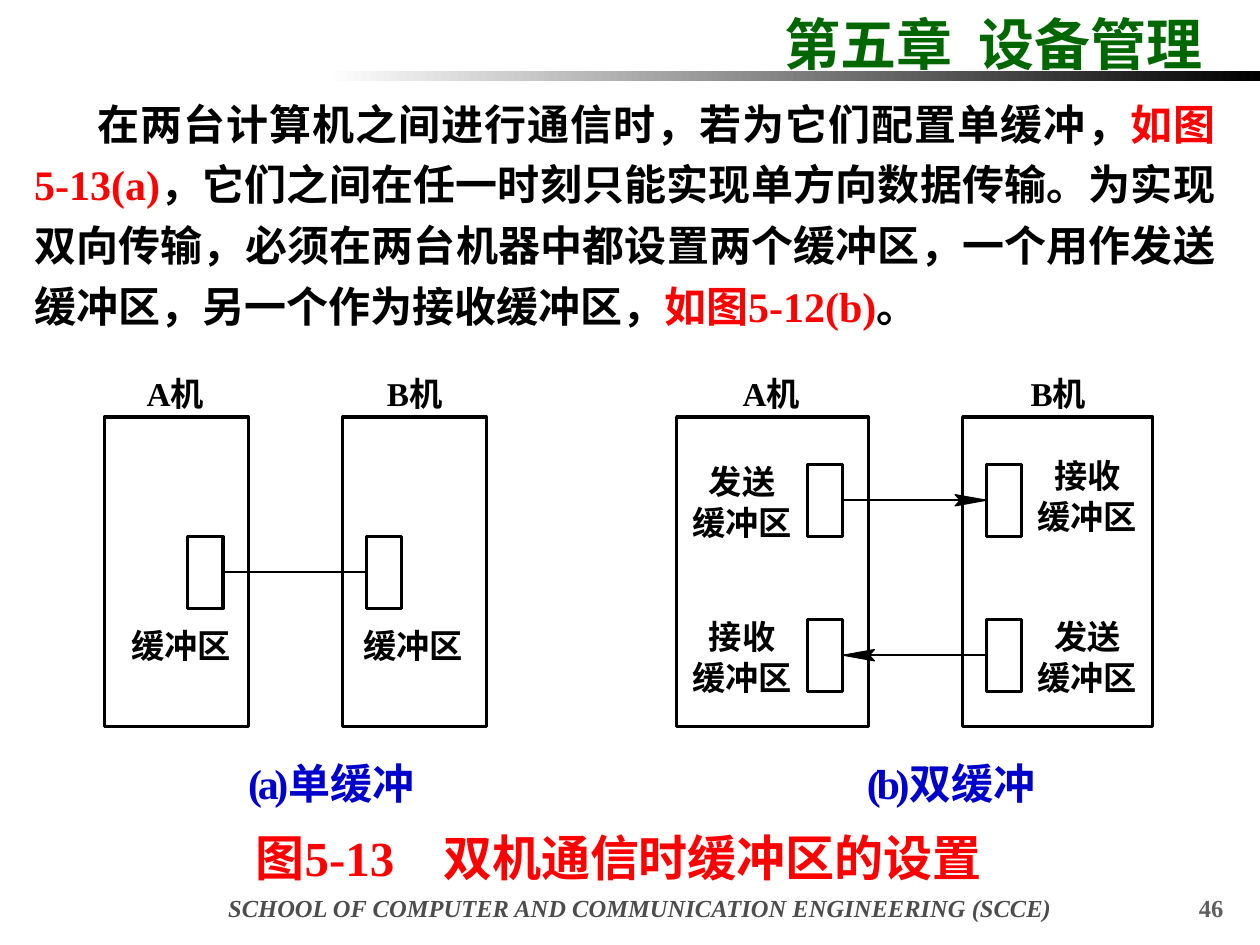
from dataclasses import dataclass

from lxml import etree
from pptx import Presentation
from pptx.dml.color import RGBColor
from pptx.enum.shapes import MSO_CONNECTOR, MSO_SHAPE
from pptx.enum.text import PP_ALIGN
from pptx.oxml.ns import qn
from pptx.util import Inches, Pt

RECT, LINE = MSO_SHAPE.RECTANGLE, MSO_CONNECTOR.STRAIGHT
LEFT, MID, RIGHT, JUST = (PP_ALIGN.LEFT, PP_ALIGN.CENTER,
                          PP_ALIGN.RIGHT, PP_ALIGN.JUSTIFY)
BLACK = RGBColor(0x00, 0x00, 0x00)
WHITE = RGBColor(0xFF, 0xFF, 0xFF)
GREEN = RGBColor(0x00, 0x66, 0x00)
RED = RGBColor(0xFF, 0x00, 0x00)
BLUE = RGBColor(0x00, 0x00, 0xCC)
DARK = RGBColor(0x4D, 0x4D, 0x4D)
GRAY = RGBColor(0x5F, 0x5F, 0x5F)
LATIN, HAN = "Times New Roman", "Noto Sans CJK SC"
PITCH = 1.235  # line height as a multiple of the text size

# Shared heights of the two diagrams
FRAME_Y, FRAME_H = 3.31, 2.46
NAME_Y, NOTE_Y = 2.95, 6.0
BUF_W, BUF_H = 0.28, 0.57


@dataclass
class Frame:
    name: str
    x: float
    width: float
    mid: float  # centre of the machine name


@dataclass
class Buffer:
    x: float
    y: float
    label: str
    mid: float  # centre of the label
    top: float


@dataclass
class Link:
    start: float
    end: float
    y: float
    arrow: bool = True


FRAMES = [
    Frame("A", 0.83, 1.14, 1.39),
    Frame("B", 2.72, 1.14, 3.29),
    Frame("A", 5.37, 1.52, 6.12),
    Frame("B", 7.64, 1.51, 8.4),
]
BUFFERS = [
    Buffer(1.49, 4.26, "缓冲区", 1.44, 4.95),
    Buffer(2.91, 4.26, "缓冲区", 3.28, 4.95),
    Buffer(6.41, 3.69, "发送\n缓冲区", 5.89, 3.65),
    Buffer(7.83, 3.69, "接收\n缓冲区", 8.63, 3.6),
    Buffer(6.41, 4.92, "接收\n缓冲区", 5.89, 4.88),
    Buffer(7.83, 4.92, "发送\n缓冲区", 8.63, 4.88),
]
LINKS = [
    Link(1.77, 2.91, 4.54, arrow=False),
    Link(6.69, 7.83, 3.97),
    Link(7.83, 6.69, 5.2),
]
NOTES = [("(a)", "单缓冲", 2.63), ("(b)", "双缓冲", 7.55)]
BODY = [
    ("在两台计算机之间进行通信时，若为它们配置单缓冲，", BLACK),
    ("如图5-13(a)", RED),
    ("，它们之间在任一时刻只能实现单方向数据传输。为实现双向传输，"
     "必须在两台机器中都设置两个缓冲区，一个用作发送缓冲区，"
     "另一个作为接收缓冲区，", BLACK),
    ("如图5-12(b)", RED),
    ("。", BLACK),
]


def put_text(slide, text: str | list, x: float, y: float, width: float, *,
             size: float, color: RGBColor = BLACK, align=LEFT,
             italic: bool = False, wrap: bool = False, indent: float = 0,
             pitch: float = PITCH, latin: str = LATIN,
             tight: float = 0) -> None:
    """Place bold text; a list holds (text, colour) runs of one paragraph.

    tight draws the letters of the first run closer, in points.
    """
    lines = ([[(t, color)] for t in text.split("\n")]
             if isinstance(text, str) else [text])
    step = round(size * pitch, 1)
    box = slide.shapes.add_textbox(Inches(x), Inches(y), Inches(width),
                                   Pt(step * len(lines)))
    frame = box.text_frame
    frame.word_wrap = wrap
    frame.margin_left = frame.margin_right = 0
    frame.margin_top = frame.margin_bottom = 0
    for i, runs in enumerate(lines):
        para = frame.add_paragraph() if i else frame.paragraphs[0]
        para.alignment, para.line_spacing = align, Pt(step)
        if indent:
            para._p.get_or_add_pPr().set("indent", str(Inches(indent)))
        for j, (part, tint) in enumerate(runs):
            run = para.add_run()
            run.text = part
            font = run.font
            font.size, font.bold, font.italic = Pt(size), True, italic
            font.color.rgb, font.name = tint, latin
            props = run._r.get_or_add_rPr()
            etree.SubElement(props, qn("a:ea")).set("typeface", HAN)
            if tight and j == 0:
                props.set("spc", str(round(-100 * tight)))


def put_mid(slide, text: str | list, mid: float, y: float, width: float,
            **form) -> None:
    put_text(slide, text, mid - width / 2, y, width, align=MID, **form)


def put_rect(slide, x: float, y: float, width: float, height: float,
             fill: RGBColor | None = None):
    rect = slide.shapes.add_shape(RECT, Inches(x), Inches(y),
                                  Inches(width), Inches(height))
    rect.shadow.inherit = False
    if fill is None:
        rect.fill.background()
    else:
        rect.fill.solid()
        rect.fill.fore_color.rgb = fill
    rect.line.color.rgb, rect.line.width = BLACK, Pt(1.75)
    return rect


def put_link(slide, link: Link) -> None:
    y = Inches(link.y)
    line = slide.shapes.add_connector(LINE, Inches(link.start), y,
                                      Inches(link.end), y)
    line.line.color.rgb, line.line.width = BLACK, Pt(1)
    etree.SubElement(line._element.spPr, qn("a:effectLst"))
    if not link.arrow:
        return
    # Notched head with its tip at the end of the line
    back = -1 if link.end > link.start else 1
    tail, notch = link.end + 0.25 * back, link.end + 0.21 * back
    pen = slide.shapes.build_freeform(Inches(tail), Inches(link.y - 0.045))
    pen.add_line_segments([
        (Inches(notch), y), (Inches(tail), Inches(link.y + 0.045)),
        (Inches(link.end), y)], close=True)
    head = pen.convert_to_shape()
    head.shadow.inherit = False
    head.fill.solid()
    head.fill.fore_color.rgb = BLACK
    head.line.color.rgb, head.line.width = BLACK, Pt(0.62)


def main() -> None:
    deck = Presentation()
    deck.slide_width, deck.slide_height = Inches(10), Inches(7.5)
    slide = deck.slides.add_slide(deck.slide_layouts[6])

    # Header with fading bar
    bar = put_rect(slide, 2.58, 0.56, 7.42, 0.08)
    bar.line.fill.background()
    bar.fill.gradient()
    bar.fill.gradient_angle = 0
    for stop, tint, spot in zip(bar.fill.gradient_stops, (WHITE, BLACK), (0, 1)):
        stop.color.rgb, stop.position = tint, spot
    put_text(slide, "第五章  设备管理", 6.23, 0.06, 3.4, size=32, color=GREEN)

    # Body text
    put_text(slide, BODY, 0.27, 0.7, 9.38, size=24, align=JUST, wrap=True,
             indent=0.5, pitch=1.44)

    # Diagrams
    for buf in BUFFERS:
        put_rect(slide, buf.x, buf.y, BUF_W, BUF_H, WHITE)
        put_mid(slide, buf.label, buf.mid, buf.top, 1, size=19, latin=HAN)
    for link in LINKS:
        put_link(slide, link)
    for box in FRAMES:
        put_rect(slide, box.x, FRAME_Y, box.width, FRAME_H)
        put_mid(slide, [(box.name, BLACK), ("机", BLACK)], box.mid, NAME_Y, 1,
                size=19, tight=4)
    for mark, note, mid in NOTES:
        put_mid(slide, [(mark, BLUE), (note, BLUE)], mid, NOTE_Y, 2,
                size=24, tight=2.5)

    # Caption and footer
    put_text(slide, "图5-13　双机通信时缓冲区的设置", 2.03, 6.55, 6.02,
             size=28, color=RED)
    put_mid(slide, "SCHOOL OF COMPUTER AND COMMUNICATION ENGINEERING (SCCE)",
            5.08, 7.08, 7.5, size=14, color=DARK, italic=True)
    put_text(slide, "46", 9.26, 7.08, 0.45, size=14, color=GRAY, align=RIGHT)

    deck.save("out.pptx")


if __name__ == "__main__":
    main()
